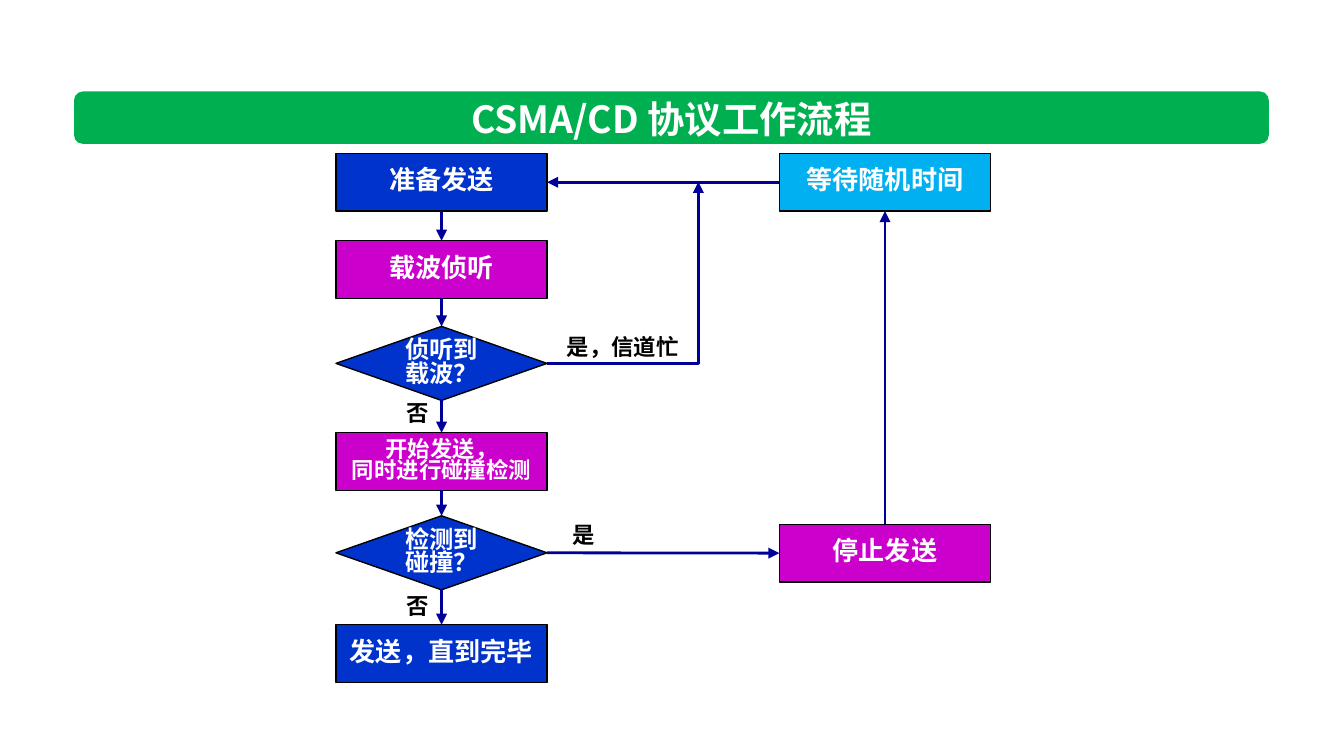
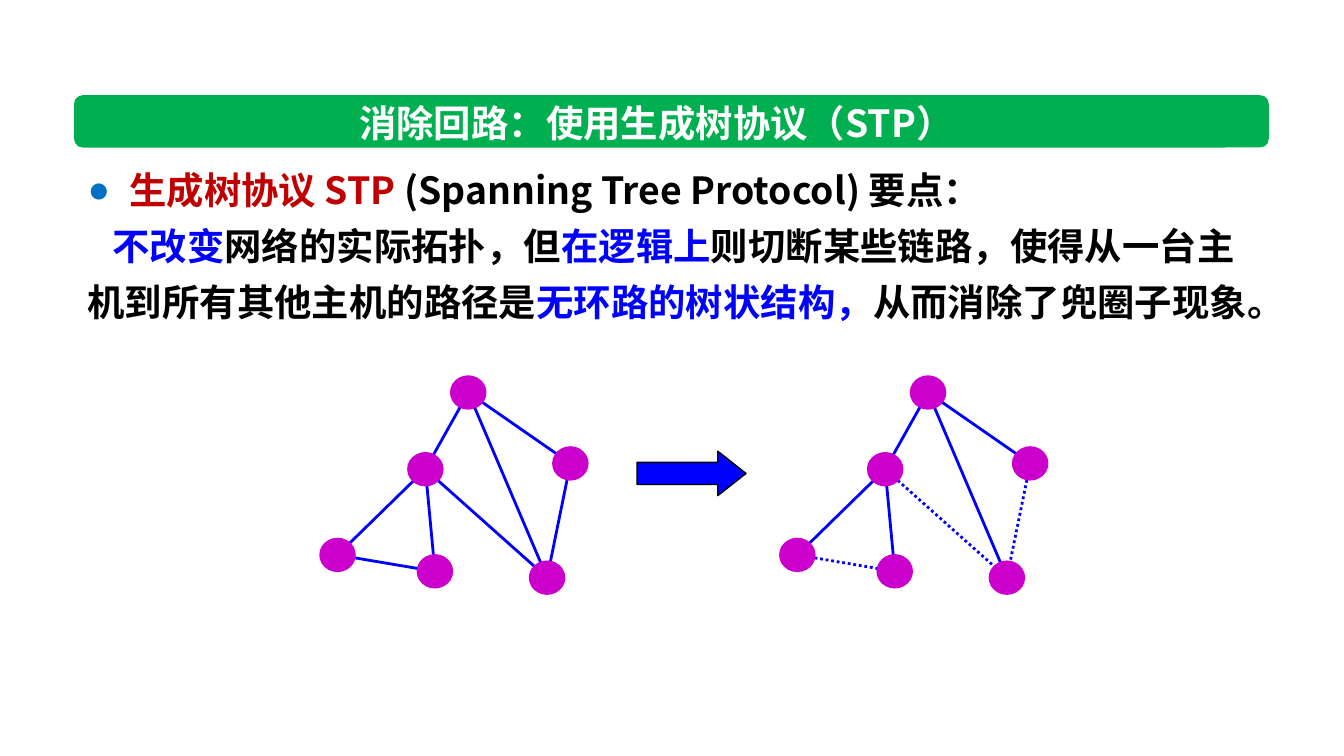
"""Build two slides: the CSMA/CD flow chart and the spanning tree protocol."""
import pptx
import pptx.dml.color
import pptx.enum.dml
import pptx.enum.shapes
import pptx.enum.text
import pptx.oxml.ns
import pptx.oxml.xmlchemy
import pptx.util
from lxml import etree

RGB = pptx.dml.color.RGBColor
WHITE = RGB(0xFF, 0xFF, 0xFF)
BLACK = RGB(0x00, 0x00, 0x00)
GREEN = RGB(0x00, 0xB0, 0x50)
ROYAL = RGB(0x00, 0x33, 0xCC)
NAVY = RGB(0x00, 0x00, 0x99)
BLUE = RGB(0x00, 0x00, 0xFF)
SKY = RGB(0x00, 0xB0, 0xF0)
MAGENTA = RGB(0xCC, 0x00, 0xCC)
RED = RGB(0xC0, 0x00, 0x00)
BULLET = RGB(0x00, 0x70, 0xC0)
FONT = "Noto Sans CJK SC"

SHAPE = pptx.enum.shapes.MSO_SHAPE
STRAIGHT = pptx.enum.shapes.MSO_CONNECTOR.STRAIGHT
ELBOW = pptx.enum.shapes.MSO_CONNECTOR.ELBOW
LEFT = pptx.enum.text.PP_ALIGN.LEFT
CENTER = pptx.enum.text.PP_ALIGN.CENTER
TOP_SITE, LEFT_SITE, BOTTOM_SITE, RIGHT_SITE = range(4)

MAIN_COLUMN, SIDE_COLUMN, STEP_WIDTH = 6.35, 14.73, 3.99
STEP_HEIGHTS = {SHAPE.RECTANGLE: 1.09, SHAPE.DIAMOND: 1.4}
STEPS = {
    "prepare": (MAIN_COLUMN, 2.9, SHAPE.RECTANGLE, ROYAL, 14, ["准备发送"]),
    "listen": (MAIN_COLUMN, 4.55, SHAPE.RECTANGLE, MAGENTA, 14, ["载波侦听"]),
    "carrier": (MAIN_COLUMN, 6.17, SHAPE.DIAMOND, ROYAL, 13, ["侦听到载波？"]),
    "send": (MAIN_COLUMN, 8.18, SHAPE.RECTANGLE, MAGENTA, 12, ["开始发送，", "同时进行碰撞检测"]),
    "collision": (MAIN_COLUMN, 9.75, SHAPE.DIAMOND, ROYAL, 13, ["检测到碰撞？"]),
    "finish": (MAIN_COLUMN, 11.81, SHAPE.RECTANGLE, ROYAL, 14, ["发送，直到完毕"]),
    "stop": (SIDE_COLUMN, 9.91, SHAPE.RECTANGLE, MAGENTA, 14, ["停止发送"]),
    "wait": (SIDE_COLUMN, 2.9, SHAPE.RECTANGLE, SKY, 14, ["等待随机时间"]),
}
MAIN_FLOW = ["prepare", "listen", "carrier", "send", "collision", "finish"]
FLOWS = [(first, BOTTOM_SITE, second, TOP_SITE) for first, second in zip(MAIN_FLOW, MAIN_FLOW[1:])] + [
    ("collision", RIGHT_SITE, "stop", LEFT_SITE),
    ("stop", TOP_SITE, "wait", BOTTOM_SITE),
    ("wait", LEFT_SITE, "prepare", RIGHT_SITE),
]
BUSY_RETURN = (10.34, 6.87, 13.2, 3.44)
LABELS = [
    (10.46, 6.17, 2.64, "是，信道忙"),
    (10.57, 9.73, 0.94, "是"),
    (7.44, 11.07, 0.94, "否"),
    (7.44, 7.42, 0.94, "否"),
]

KEY_POINTS = [
    [("生成树协议 STP ", RED), ("(Spanning Tree Protocol) 要点：", BLACK)],
    [
        ("不改变", BLUE),
        ("网络的实际拓扑，但", BLACK),
        ("在逻辑上", BLUE),
        ("则切断某些链路，使得从一台主机到所有其他主机的路径是", BLACK),
        ("无环路的树状结构，", BLUE),
        ("从而消除了兜圈子现象。", BLACK),
    ],
]
NODES = {
    "root": (8.85, 7.42),
    "right": (10.78, 8.76),
    "bottom": (10.34, 10.92),
    "left": (6.38, 10.49),
    "middle": (8.22, 10.8),
    "hub": (8.04, 8.87),
}
NODE_WIDTH, NODE_HEIGHT = 0.69, 0.65
LINKS = [("root", "hub"), ("root", "right"), ("hub", "bottom"), ("right", "bottom"),
         ("root", "bottom"), ("left", "hub"), ("middle", "hub"), ("middle", "left")]
CUT_LINKS = [("hub", "bottom"), ("right", "bottom"), ("middle", "left")]
TREE_OFFSET = 8.69


def cm(*lengths):
    return [pptx.util.Cm(length) for length in lengths]


def add_element(parent, tag, **attributes):
    return etree.SubElement(parent, pptx.oxml.ns.qn(tag), attributes)


def format_paragraph(paragraph, size, color, alignment=CENTER):
    paragraph.alignment = alignment
    font = paragraph.font
    font.size, font.bold, font.name = pptx.util.Pt(size), True, FONT
    font.color.rgb = color
    properties = paragraph._p.pPr.find(pptx.oxml.ns.qn("a:defRPr"))
    add_element(properties, "a:ea", typeface=FONT)


def place(shape, left, top, width, height):
    shape.left, shape.top, shape.width, shape.height = cm(left, top, width, height)


def add_filled(shapes, kind, box, color, outlined=False):
    shape = shapes.add_shape(kind, *cm(*box))
    shape.shadow.inherit = False
    shape.fill.solid()
    shape.fill.fore_color.rgb = color
    if outlined:
        shape.line.color.rgb = BLACK
        shape.line.width = pptx.util.Pt(0.75)
    else:
        shape.line.fill.background()
    return shape


def add_line(shapes, ends, color, kind=STRAIGHT, arrow=False, dotted=False):
    connector = shapes.add_connector(kind, *cm(*ends))
    connector.line.color.rgb = color
    connector.line.width = pptx.util.Pt(1.5)
    if dotted:
        connector.line.dash_style = pptx.enum.dml.MSO_LINE.ROUND_DOT
    properties = connector.element.spPr
    if arrow:
        add_element(properties.find(pptx.oxml.ns.qn("a:ln")), "a:tailEnd", type="triangle")
    add_element(properties, "a:effectLst")
    return connector


def set_line_text(shape, text, size, color, alignment=CENTER):
    frame = shape.text_frame
    frame.text = text
    frame.word_wrap = False
    frame.auto_size = pptx.enum.text.MSO_AUTO_SIZE.NONE
    frame.vertical_anchor = pptx.enum.text.MSO_ANCHOR.MIDDLE
    format_paragraph(frame.paragraphs[0], size, color, alignment)


def add_titled_slide(presentation, layout, text, band_top, title_left, title_width):
    slide = presentation.slides.add_slide(presentation.slide_layouts[layout])
    title = slide.shapes.title
    place(title, title_left, band_top - 0.05, title_width, 1.12)
    set_line_text(title, text, 20, WHITE)
    band = add_filled(slide.shapes, SHAPE.ROUNDED_RECTANGLE, (1.4, band_top, 22.58, 0.99), GREEN)
    band.adjustments[0] = 0.167
    title.element.addprevious(band.element)
    return slide


def add_step(shapes, left, top, kind, color, size, lines):
    step = add_filled(shapes, kind, (left, top, STEP_WIDTH, STEP_HEIGHTS[kind]), color, outlined=True)
    frame = step.text_frame
    frame.word_wrap = True
    frame.vertical_anchor = pptx.enum.text.MSO_ANCHOR.MIDDLE
    frame.margin_left = frame.margin_right = pptx.util.Cm(0.2)
    frame.text = "\n".join(lines)
    for paragraph in frame.paragraphs:
        paragraph.line_spacing = 0.8
        format_paragraph(paragraph, size, WHITE)
    return step


def add_flow_slide(presentation):
    slide = add_titled_slide(presentation, 5, "CSMA/CD 协议工作流程", 1.73, 8.41, 8.56)
    shapes = slide.shapes
    steps = {name: add_step(shapes, *step) for name, step in STEPS.items()}
    for source, source_site, target, target_site in FLOWS:
        connector = add_line(shapes, (0, 0, 1, 1), NAVY, arrow=True)
        connector.begin_connect(steps[source], source_site)
        connector.end_connect(steps[target], target_site)
    busy_return = add_line(shapes, BUSY_RETURN, NAVY, kind=ELBOW, arrow=True)
    geometry = busy_return.element.spPr.find(pptx.oxml.ns.qn("a:prstGeom"))
    geometry.set("prst", "bentConnector2")
    for left, top, width, text in LABELS:
        label = shapes.add_textbox(*cm(left, top, width, 0.76))
        set_line_text(label, text, 12, BLACK, LEFT)


def add_key_points(body):
    place(body, 1.4, 2.82, 22.48, 3.45)
    frame = body.text_frame
    frame.word_wrap = True
    frame.auto_size = pptx.enum.text.MSO_AUTO_SIZE.NONE
    for index, runs in enumerate(KEY_POINTS):
        paragraph = frame.add_paragraph() if index else frame.paragraphs[0]
        properties = paragraph._p.get_or_add_pPr()
        margin, indent = (0, 0.47) if index else (0.79, -0.79)
        properties.set("marL", str(pptx.util.Cm(margin)))
        properties.set("indent", str(pptx.util.Cm(indent)))
        if index:
            add_element(properties, "a:buNone")
        else:
            add_element(add_element(properties, "a:buClr"), "a:srgbClr", val=str(BULLET))
            add_element(properties, "a:buChar", char="●")
        paragraph.line_spacing = pptx.util.Pt(30)
        paragraph.space_before = pptx.util.Pt(0)
        format_paragraph(paragraph, 20, BLACK, LEFT)
        for text, color in runs:
            run = paragraph.add_run()
            run.text = text
            run.font.color.rgb = color


def add_network(slide, offset, cut_links):
    shapes = slide.shapes.add_group_shape().shapes
    centers = {name: (x + offset, y) for name, (x, y) in NODES.items()}
    for link in LINKS:
        first, second = link
        add_line(shapes, centers[first] + centers[second], BLUE, dotted=link in cut_links)
    for x, y in centers.values():
        box = (x - NODE_WIDTH / 2, y - NODE_HEIGHT / 2, NODE_WIDTH, NODE_HEIGHT)
        add_filled(shapes, SHAPE.OVAL, box, MAGENTA)


def add_tree_slide(presentation):
    slide = add_titled_slide(presentation, 1, "消除回路：使用生成树协议（STP）", 1.8, 6.27, 12.27)
    add_key_points(slide.placeholders[1])
    arrow = add_filled(slide.shapes, SHAPE.RIGHT_ARROW, (12.04, 8.53, 2.06, 0.84), BLUE, outlined=True)
    arrow.adjustments[0], arrow.adjustments[1] = 0.5, 0.635
    add_network(slide, 0, [])
    add_network(slide, TREE_OFFSET, CUT_LINKS)


def main():
    presentation = pptx.Presentation()
    presentation.slide_width, presentation.slide_height = cm(25.4, 14.29)
    add_flow_slide(presentation)
    add_tree_slide(presentation)
    presentation.save("out.pptx")


if __name__ == "__main__":
    main()
